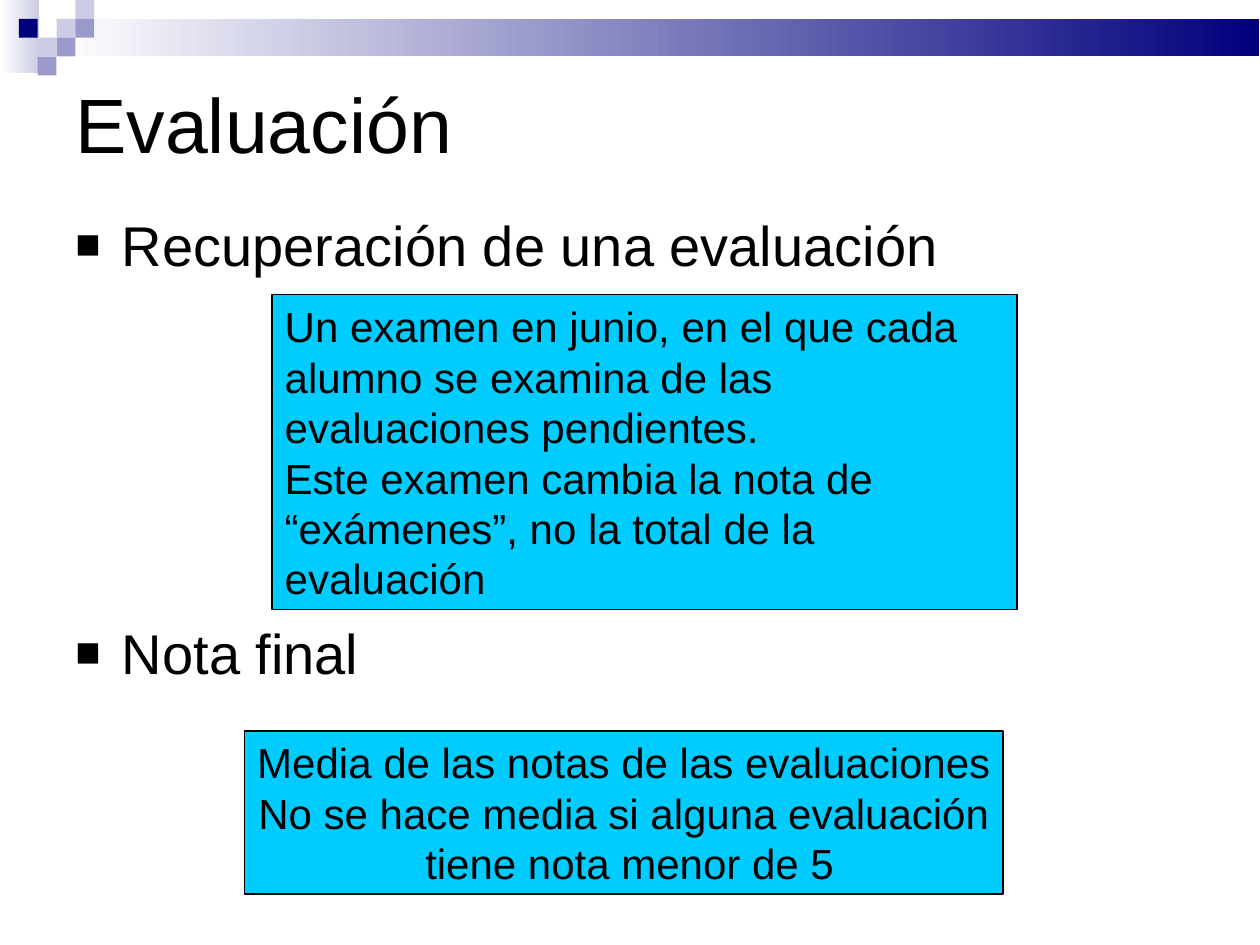
from lxml.etree import SubElement
from pptx import Presentation
from pptx.dml.color import RGBColor
from pptx.enum.shapes import MSO_SHAPE
from pptx.enum.text import MSO_ANCHOR, PP_ALIGN
from pptx.oxml.ns import qn
from pptx.util import Cm, Pt

FONT = "Arial"
BLACK = RGBColor(0x00, 0x00, 0x00)
WHITE = RGBColor(0xFF, 0xFF, 0xFF)
NAVY = RGBColor(0x00, 0x00, 0x7D)
LAVENDER = RGBColor(0x99, 0x99, 0xCC)
PALE = RGBColor(0xCC, 0xCC, 0xE6)
CYAN = RGBColor(0x00, 0xCC, 0xFF)

TILE = 0.38  # side and pitch of the corner mosaic, in cm
TILES = [  # column, row, colour
    (3, 1, PALE), (4, 0, PALE), (4, 1, LAVENDER), (2, 2, PALE),
    (1, 1, NAVY), (3, 2, LAVENDER), (2, 3, LAVENDER),
]


def add_rectangle(page, left, top, width, height):
    box = page.shapes.add_shape(
        MSO_SHAPE.RECTANGLE, Cm(left), Cm(top), Cm(width), Cm(height))
    box.shadow.inherit = False
    box.line.fill.background()
    return box


def add_fade(page, left, top, width, height, color):
    """Rectangle fading from color at the right to white at the left."""
    fill = add_rectangle(page, left, top, width, height).fill
    fill.gradient()
    fill.gradient_angle = 180
    for stop, tint in zip(fill.gradient_stops, (color, WHITE)):
        stop.color.rgb = tint


def add_tile(page, column, row, color):
    tile = add_rectangle(page, column * TILE, row * TILE, TILE, TILE)
    tile.fill.solid()
    tile.fill.fore_color.rgb = color


def write_lines(box, lines, size, align=PP_ALIGN.LEFT):
    frame = box.text_frame
    for index, line in enumerate(lines):
        para = frame.paragraphs[0] if index == 0 else frame.add_paragraph()
        para.alignment = align
        span = para.add_run()
        span.text = line
        span.font.name = FONT
        span.font.size = Pt(size)
        span.font.color.rgb = BLACK


def add_text(page, left, top, width, height, lines, size, anchor):
    box = page.shapes.add_textbox(Cm(left), Cm(top), Cm(width), Cm(height))
    box.text_frame.word_wrap = True
    box.text_frame.vertical_anchor = anchor
    write_lines(box, lines, size)
    return box


def add_square_bullet(para):
    props = para._p.get_or_add_pPr()
    props.set("marL", str(Cm(0.94)))
    props.set("indent", str(-Cm(0.94)))
    color = SubElement(props, qn("a:buClr"))
    SubElement(color, qn("a:srgbClr"), val=str(BLACK))
    SubElement(props, qn("a:buSzPct"), val="75000")
    SubElement(props, qn("a:buFont"), typeface=FONT)
    SubElement(props, qn("a:buChar"), char="■")


def add_note(page, left, top, width, height, lines, align, wrap):
    note = add_rectangle(page, left, top, width, height)
    note.fill.solid()
    note.fill.fore_color.rgb = CYAN
    note.line.color.rgb = BLACK
    note.line.width = Pt(1)
    note.text_frame.word_wrap = wrap
    note.text_frame.vertical_anchor = MSO_ANCHOR.MIDDLE
    write_lines(note, lines, 24, align)


def main():
    deck = Presentation()
    deck.slide_width, deck.slide_height = Cm(25.4), Cm(19.05)
    page = deck.slides.add_slide(deck.slide_layouts[6])

    # Header band and corner mosaic
    add_fade(page, 0, 0, 0.79, 1.47, PALE)
    add_fade(page, 1.14, 0.38, 24.24, 0.75, NAVY)
    for column, row, color in TILES:
        add_tile(page, column, row, color)

    # Title
    add_text(page, 1.27, 1.2, 22.86, 2.54, ["Evaluación"], 44,
             MSO_ANCHOR.MIDDLE)

    # Topics, spaced to leave room for the first note
    topics = add_text(page, 1.27, 4.11, 22.86, 13.13,
                      ["Recuperación de una evaluación", "Nota final"], 32,
                      MSO_ANCHOR.TOP)
    for para, gap in zip(topics.text_frame.paragraphs, (8, 195)):
        para.space_before = Pt(gap)
        add_square_bullet(para)

    # Notes
    add_note(page, 4.93, 14.73, 15.29, 3.3,
             ["Media de las notas de las evaluaciones",
              "No se hace media si alguna evaluación",
              " tiene nota menor de 5"], PP_ALIGN.CENTER, False)
    add_note(page, 5.49, 5.94, 15.01, 6.35,
             ["Un examen en junio, en el que cada alumno se examina de las "
              "evaluaciones pendientes.",
              "Este examen cambia la nota de “exámenes”, no la total de la "
              "evaluación"], PP_ALIGN.LEFT, True)

    deck.save("out.pptx")


if __name__ == "__main__":
    main()
